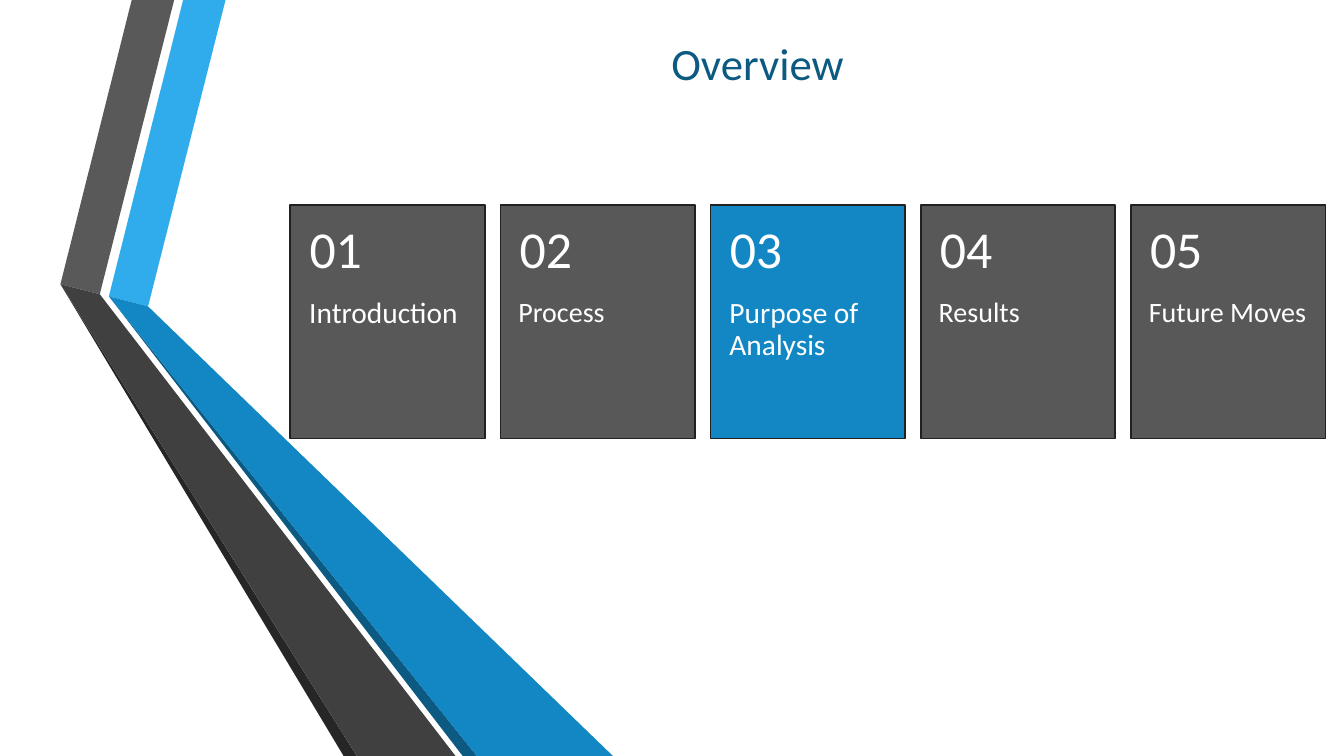
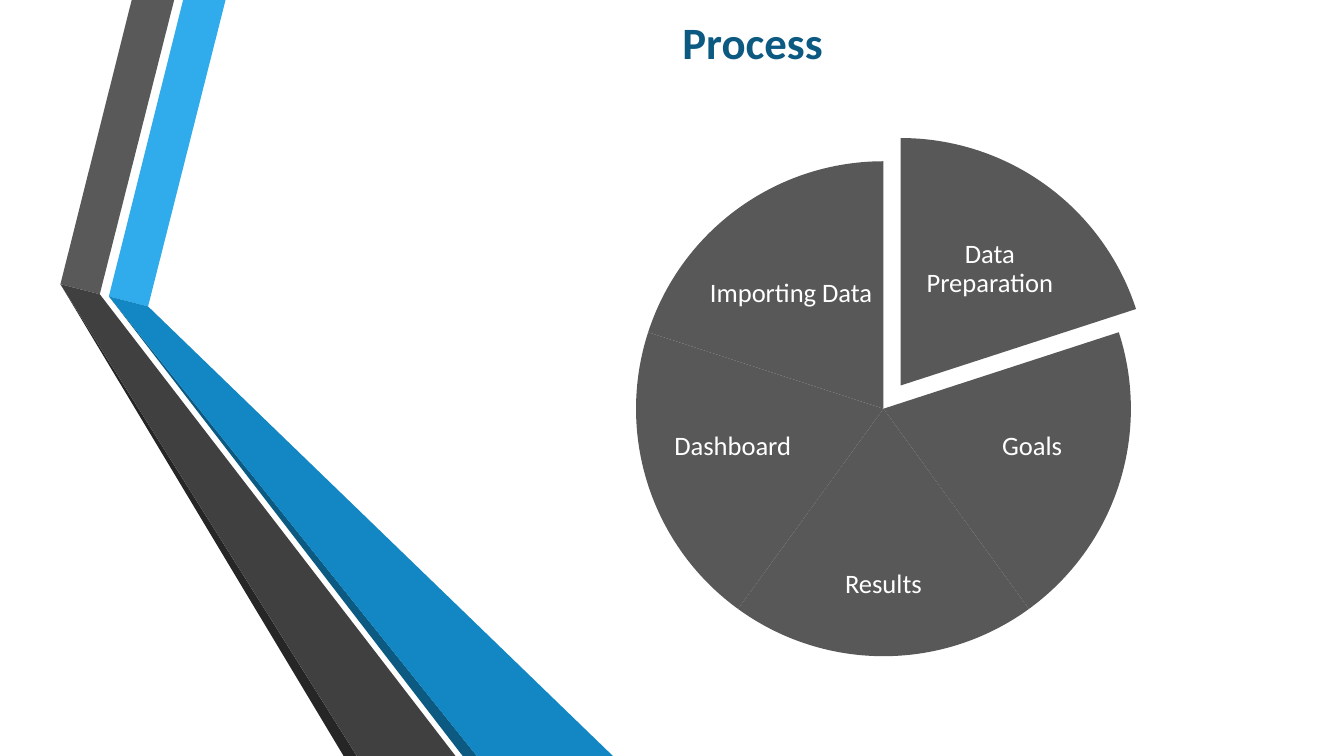
"""Build an overview slide with five cards and a process slide with a pie of five steps."""
from pptx import Presentation
from pptx.dml.color import RGBColor
from pptx.enum import shapes, text
from pptx.util import Pt

FONT = "Calibri"
WHITE, GRAY, BLUE, NAVY, BLACK = "FFFFFF", "585858", "1287C3", "0C5A82", "212121"
ANCHOR, ALIGN, SHAPE = text.MSO_ANCHOR, text.PP_ALIGN, shapes.MSO_SHAPE


def add_shape(s, kind, box, fill=None, line=None):
    """Add a flat preset shape with an optional fill and outline."""
    sp = s.shapes.add_shape(kind, *map(Pt, box))
    sp.shadow.inherit = False
    if fill:
        sp.fill.solid()
        sp.fill.fore_color.rgb = RGBColor.from_string(fill)
    else:
        sp.fill.background()
    if line:
        sp.line.color.rgb = RGBColor.from_string(line)
        sp.line.width = Pt(1.25)
    else:
        sp.line.fill.background()
    return sp


def set_text(sp, words, size, color, align, anchor, insets, spacing=0.9, bold=False):
    """Write one formatted paragraph into a shape."""
    tf = sp.text_frame
    tf.word_wrap = True
    tf.auto_size = text.MSO_AUTO_SIZE.NONE
    tf.vertical_anchor = anchor
    tf.margin_left, tf.margin_top, tf.margin_right, tf.margin_bottom = map(Pt, insets)
    p = tf.paragraphs[0]
    p.text = words
    p.alignment = align
    p.line_spacing = spacing
    p.font.name, p.font.size, p.font.bold = FONT, Pt(size), bold
    p.font.color.rgb = RGBColor.from_string(color)


prs = Presentation()
prs.slide_width, prs.slide_height = Pt(960), Pt(540)
layout = prs.slide_layouts[5]

titles = [("Overview", 472.3, 21.6, False), ("Process", 480.2, 7.2, True)]
for words, left, top, bold in titles:
    title = prs.slides.add_slide(layout).shapes.title
    title.left, title.top, title.width, title.height = map(Pt, (left, top, 193.7, 46))
    set_text(title, words, 32, NAVY, ALIGN.LEFT, ANCHOR.TOP, (7.2, 3.6, 7.2, 3.6), 1.0, bold)
overview, process = prs.slides

bands = [
    ("30ACEC", [(77.8, 211.7), (105.8, 218.9), (161.3, -0.7), (131, -0.7)]),
    ("595959", [(71.3, 210.2), (124.6, -0.7), (94.3, -0.7), (43.2, 203)]),
    ("262626", [(43.2, 203), (245.5, 540), (254.9, 540)]),
    (NAVY, [(340.6, 540), (77.8, 211.7), (330.5, 540)]),
    (BLUE, [(77.8, 211.7), (340.6, 540), (437.8, 540), (105.8, 218.9)]),
    ("404040", [(325.4, 540), (76.3, 216.7), (71.3, 210.2), (43.2, 203), (254.9, 540)]),
]
for color, points in bands:
    start, *rest = [(Pt(x), Pt(y)) for x, y in points]
    builder = overview.shapes.build_freeform(*start)
    builder.add_line_segments(rest)
    band = builder.convert_to_shape()
    band.shadow.inherit = False
    band.fill.solid()
    band.fill.fore_color.rgb = RGBColor.from_string(color)
    band.line.fill.background()
    layout.element.cSld.spTree.append(band.element)

cards = [
    ("Introduction", 21, 13.5, GRAY),
    ("Process", 20, 12.8, GRAY),
    ("Purpose of Analysis", 21, 13.5, BLUE),
    ("Results", 20, 12.8, GRAY),
    ("Future Moves", 20, 12.8, GRAY),
]
card_top, card_width, card_height, number_height = 146.2, 139, 167, 67
for i, (words, size, inset, fill) in enumerate(cards):
    left = 207.4 + 150.1 * i
    add_shape(overview, SHAPE.RECTANGLE, (left, card_top, card_width, card_height), fill, BLACK)
    body = add_shape(overview, SHAPE.RECTANGLE, (left, card_top + number_height, card_width,
                                                 card_height - number_height))
    set_text(body, words, size, WHITE, ALIGN.LEFT, ANCHOR.TOP, (inset, 0, inset, 26))
    number = add_shape(overview, SHAPE.RECTANGLE, (left, card_top, card_width, number_height))
    set_text(number, f"{i + 1:02d}", 37, WHITE, ALIGN.LEFT, ANCHOR.MIDDLE, (13.7, 13, 13.7, 13))

steps = [
    ("Data Preparation", (466.6, 98.6), (647.3, 151.2, 119.5, 82)),
    ("Goals", (454.3, 115.2), (684.7, 275, 105, 88.6)),
    ("Results", (454.3, 115.2), (568, 380.2, 126, 75.6)),
    ("Dashboard", (454.3, 115.2), (470.9, 275, 105, 88.6)),
    ("Importing Data", (454.3, 115.2), (505.4, 169.2, 119.5, 82)),
]
full_turn, top_angle = 216, 162
sweep = full_turn / len(steps)
for i, (words, corner, label_box) in enumerate(steps):
    pie = add_shape(process, SHAPE.PIE, (*corner, 353.5, 353.5), GRAY)
    for side in (0, 1):
        pie.adjustments[side] = round((top_angle + sweep * (i + side)) % full_turn, 1)
    label = add_shape(process, SHAPE.RECTANGLE, label_box, GRAY)
    set_text(label, words, 19, WHITE, ALIGN.CENTER, ANCHOR.MIDDLE, (1.5, 1.5, 1.5, 1.5))

prs.save("out.pptx")
